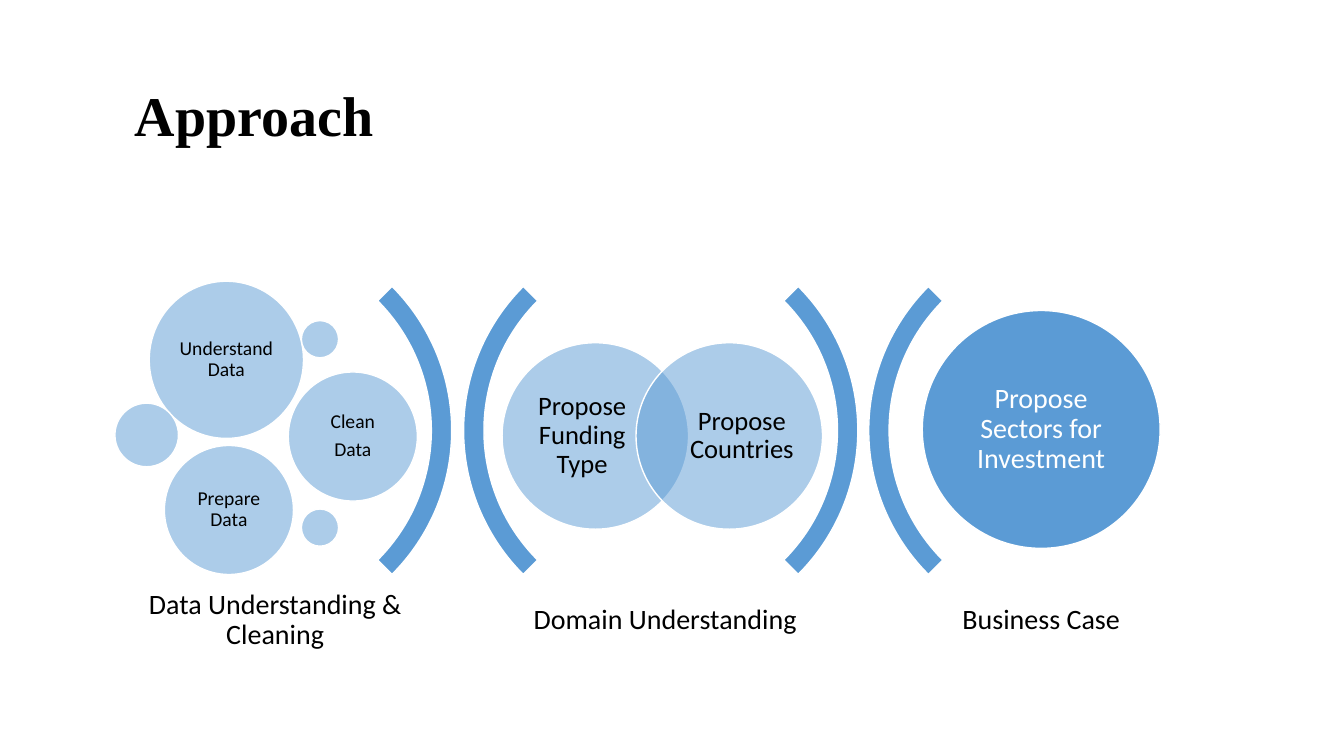
from lxml import etree
from pptx import Presentation
from pptx.dml.color import RGBColor
from pptx.enum.shapes import MSO_SHAPE
from pptx.enum.text import MSO_ANCHOR, PP_ALIGN
from pptx.oxml.ns import qn
from pptx.util import Pt

ELLIPSE, ARC = MSO_SHAPE.OVAL, MSO_SHAPE.BLOCK_ARC
LEFT, CENTER = PP_ALIGN.LEFT, PP_ALIGN.CENTER
MIDDLE = MSO_ANCHOR.MIDDLE


class Theme:
    blue = RGBColor(0x5B, 0x9B, 0xD5)
    white = RGBColor(0xFF, 0xFF, 0xFF)
    black = RGBColor(0, 0, 0)
    body_font, title_font = "Calibri", "Times New Roman"
    title, stage, domain, task = 40, 20, 19, 14


TITLE = "Approach"

# caption, left edge
STAGES = [
    ("Data Understanding & Cleaning", 86.4),
    ("Domain Understanding", 365),
    ("Business Case", 633.6),
]
# left edge, rotation
BRACKETS = [(31.7, 90), (331.2, 270), (321.8, 90), (620.6, 270)]

# paragraphs, left, top, width, height
TASKS = [
    (["Understand Data"], 106.6, 200.9, 110.2, 112.3),
    (["Clean", "Data"], 205.9, 265.7, 92.2, 92.2),
    (["Prepare Data"], 117.4, 318.2, 92.2, 92.2),
]
# left, top, diameter
BUBBLES = [(82.1, 288, 45.4), (215.3, 229, 26.6), (215.3, 363.6, 26.6)]

# paragraphs, left, left inset, right inset
DOMAINS = [
    (["Propose Funding Type"], 358.6, 0, 18.7),
    (["Propose Countries"], 454.3, 18, 0),
]
PROPOSAL = ["Propose Sectors for Investment"]

BRACKET_TOP, BRACKET_SIZE = 162, 290.9
CAPTION_TOP, CAPTION_W, CAPTION_H = 414, 220.3, 58.3
DOMAIN_TOP, DOMAIN_SIZE = 244.8, 133.2


def write(sp, lines, size, font=Theme.body_font, color=Theme.black, bold=False,
          align=CENTER, after=0.35, insets=(0, 0, 0, 0)):
    """Fill a shape with paragraphs; after is a share of the type size."""
    tf = sp.text_frame
    tf.word_wrap = True
    tf.vertical_anchor = MIDDLE
    tf.margin_left, tf.margin_top, tf.margin_right, tf.margin_bottom = map(Pt, insets)
    for i, line in enumerate(lines):
        p = tf.add_paragraph() if i else tf.paragraphs[0]
        p.alignment = align
        p.line_spacing = 0.9
        p.space_after = Pt(size * after)
        r = p.add_run()
        r.text = line
        r.font.name, r.font.size, r.font.bold = font, Pt(size), bold
        r.font.color.rgb = color


def add_blue(shapes, kind, x, y, w, h, alpha=None):
    sp = shapes.add_shape(kind, Pt(x), Pt(y), Pt(w), Pt(h))
    sp.shadow.inherit = False
    sp.fill.solid()
    sp.fill.fore_color.rgb = Theme.blue
    sp.line.color.rgb = Theme.white
    sp.line.width = Pt(1)
    if alpha is not None:
        clr = sp._element.spPr.find(qn("a:solidFill"))[0]
        etree.SubElement(clr, qn("a:alpha")).set("val", str(alpha * 1000))
    return sp


def main():
    prs = Presentation()
    prs.slide_width, prs.slide_height = Pt(960), Pt(540)
    s = prs.slides.add_slide(prs.slide_layouts[6])
    diagram = s.shapes.add_group_shape().shapes

    for x, rotation in BRACKETS:
        sp = add_blue(diagram, ARC, x, BRACKET_TOP, BRACKET_SIZE, BRACKET_SIZE)
        sp.rotation = rotation
        for i, value in enumerate((135, 189, 0.05)):
            sp.adjustments[i] = value

    for lines, x, inset_l, inset_r in DOMAINS:
        sp = add_blue(diagram, ELLIPSE, x, DOMAIN_TOP, DOMAIN_SIZE, DOMAIN_SIZE, alpha=50)
        write(sp, lines, Theme.domain, insets=(inset_l, 0, inset_r, 0))

    for lines, *box in TASKS:
        sp = add_blue(diagram, ELLIPSE, *box, alpha=50)
        write(sp, lines, Theme.task, insets=(4.3,) * 4)

    for x, y, d in BUBBLES:
        add_blue(diagram, ELLIPSE, x, y, d, d, alpha=50)

    sp = add_blue(diagram, ELLIPSE, 658.8, 221.8, 169.9, 169.9)
    write(sp, PROPOSAL, Theme.stage, color=Theme.white, insets=(5.8,) * 4)

    for caption, x in STAGES:
        sp = diagram.add_textbox(Pt(x), Pt(CAPTION_TOP), Pt(CAPTION_W), Pt(CAPTION_H))
        write(sp, [caption], Theme.stage, insets=(5.8,) * 4)

    sp = s.shapes.add_textbox(Pt(89.3), Pt(50.4), Pt(733.7), Pt(67.7))
    write(sp, [TITLE], Theme.title, font=Theme.title_font, bold=True,
          align=LEFT, after=0, insets=(7.2, 3.6, 7.2, 3.6))

    prs.save("out.pptx")


if __name__ == "__main__":
    main()
